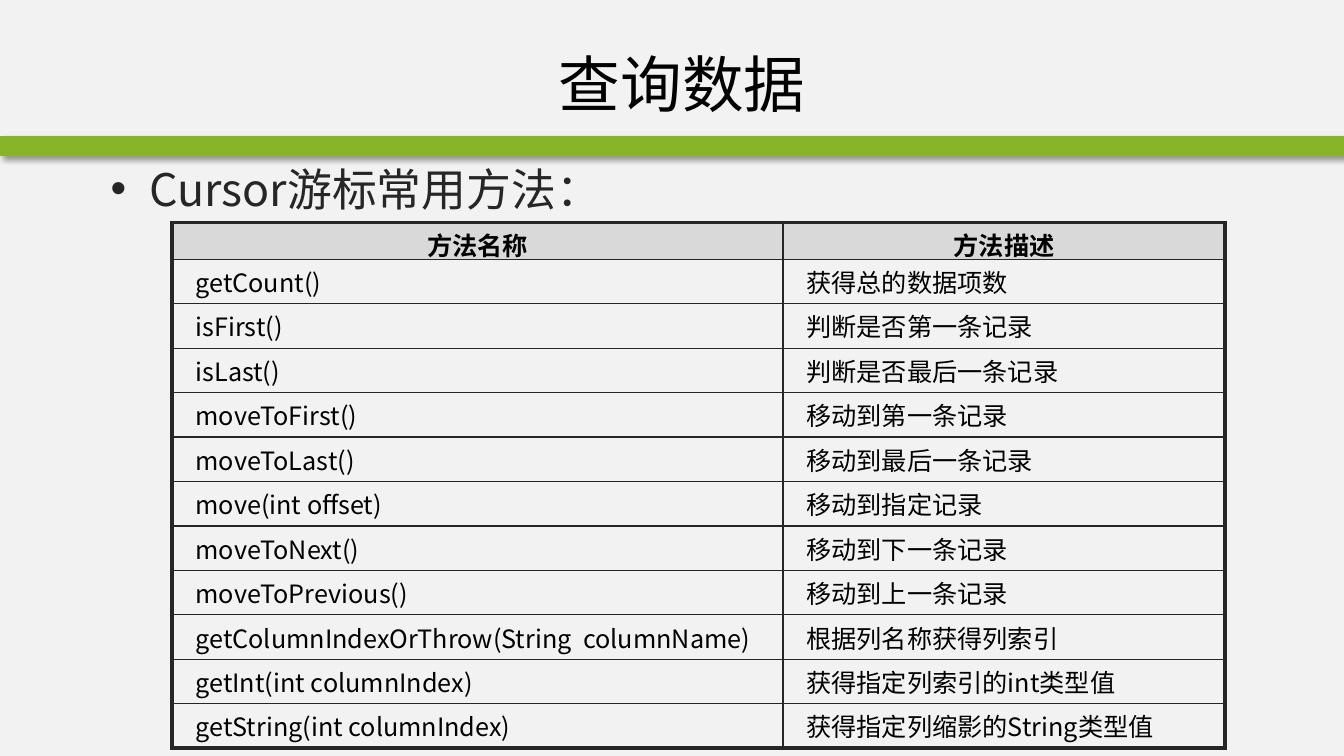
"""Build the slide listing the common methods of a database cursor."""
import dataclasses
import typing

import lxml.etree
import pptx
import pptx.dml.color
import pptx.enum.shapes
import pptx.enum.text
import pptx.oxml.ns
import pptx.util

Cm = pptx.util.Cm
Pt = pptx.util.Pt
Align = pptx.enum.text.PP_ALIGN
Anchor = pptx.enum.text.MSO_ANCHOR


@dataclasses.dataclass(frozen=True)
class Theme:
    font: str = "Noto Sans CJK SC"
    background: str = "F2F2F2"
    band: str = "88B429"
    header: str = "D9D9D9"
    dark: str = "262626"
    black: str = "000000"
    title_size: int = 44
    body_size: int = 32
    table_size: int = 18
    thin: int = 1
    thick: int = 3


class Box(typing.NamedTuple):
    left: float
    top: float
    width: float
    height: float

    def lengths(self) -> list[pptx.util.Length]:
        return [Cm(value) for value in self]


class Method(typing.NamedTuple):
    name: str
    description: str


THEME = Theme()
SLIDE_WIDTH, SLIDE_HEIGHT = 33.87, 19.05
BAND = Box(0, 3.43, SLIDE_WIDTH, 0.5)
TITLE = Box(3.53, 0.76, 27.33, 2.67)
BODY = Box(2.54, 3.94, 28.35, 1.68)
TABLE_LEFT, TABLE_TOP = 4.34, 5.61
COLUMN_WIDTHS = (15.39, 11.15)
HEADER_HEIGHT, ROW_HEIGHT = 0.81, 1.12
CELL_MARGIN, CELL_INDENT, BULLET_INDENT = 0.08, 0.51, 0.97

HEADER = Method("方法名称", "方法描述")
METHODS = (
    Method("getCount()", "获得总的数据项数"),
    Method("isFirst()", "判断是否第一条记录"),
    Method("isLast()", "判断是否最后一条记录"),
    Method("moveToFirst()", "移动到第一条记录"),
    Method("moveToLast()", "移动到最后一条记录"),
    Method("move(int offset)", "移动到指定记录"),
    Method("moveToNext()", "移动到下一条记录"),
    Method("moveToPrevious()", "移动到上一条记录"),
    Method("getColumnIndexOrThrow(String\u00a0\u00a0columnName)", "根据列名称获得列索引"),
    Method("getInt(int columnIndex)", "获得指定列索引的int类型值"),
    Method("getString(int columnIndex)", "获得指定列缩影的String类型值"),
)


def rgb(color: str) -> pptx.dml.color.RGBColor:
    return pptx.dml.color.RGBColor.from_string(color)


def add_child(parent, tag: str, **attributes):
    child = lxml.etree.SubElement(parent, pptx.oxml.ns.qn(tag))
    for name, value in attributes.items():
        child.set(name, str(value))
    return child


def add_run(paragraph, text: str, size: int, color: str, bold: bool = False) -> None:
    run = paragraph.add_run()
    run.text = text
    run.font.size = Pt(size)
    run.font.bold = bold
    run.font.name = THEME.font
    run.font.color.rgb = rgb(color)
    add_child(run.font._element, "a:ea", typeface=THEME.font)


def add_text_box(slide, box: Box, anchor: Anchor):
    frame = slide.shapes.add_textbox(*box.lengths()).text_frame
    frame.word_wrap = True
    frame.vertical_anchor = anchor
    return frame.paragraphs[0]


def set_indent(paragraph, left: float, first_line: float) -> None:
    properties = paragraph._p.get_or_add_pPr()
    properties.set("marL", str(Cm(left)))
    properties.set("indent", str(Cm(first_line)))


def add_band(slide) -> None:
    shape = slide.shapes.add_shape(pptx.enum.shapes.MSO_SHAPE.RECTANGLE, *BAND.lengths())
    shape.shadow.inherit = False
    shape.fill.solid()
    shape.fill.fore_color.rgb = rgb(THEME.band)
    shape.line.fill.background()
    effects = shape._element.spPr.find(pptx.oxml.ns.qn("a:effectLst"))
    shadow = add_child(effects, "a:outerShdw", blurRad=Pt(4), dist=Pt(3),
                       dir=45 * 60000, algn="tl", rotWithShape=0)
    color = add_child(shadow, "a:srgbClr", val=THEME.black)
    add_child(color, "a:alpha", val=40000)


def add_title(slide) -> None:
    paragraph = add_text_box(slide, TITLE, Anchor.MIDDLE)
    paragraph.alignment = Align.CENTER
    add_run(paragraph, "查询数据", THEME.title_size, THEME.black)


def add_body(slide) -> None:
    paragraph = add_text_box(slide, BODY, Anchor.TOP)
    set_indent(paragraph, BULLET_INDENT, -BULLET_INDENT)
    properties = paragraph._p.get_or_add_pPr()
    color = add_child(properties, "a:buClr")
    add_child(color, "a:srgbClr", val=THEME.dark)
    add_child(properties, "a:buFont", typeface="Arial")
    add_child(properties, "a:buChar", char="•")
    add_run(paragraph, "Cursor游标常用方法：", THEME.body_size, THEME.dark)


def set_borders(cell, outer_edges: dict[str, bool]) -> None:
    properties = cell._tc.get_or_add_tcPr()
    for position, (tag, is_outer) in enumerate(outer_edges.items()):
        width = THEME.thick if is_outer else THEME.thin
        line = lxml.etree.Element(pptx.oxml.ns.qn(tag), w=str(Pt(width)))
        fill = add_child(line, "a:solidFill")
        add_child(fill, "a:srgbClr", val=THEME.dark)
        properties.insert(position, line)


def fill_cell(cell, text: str, is_header: bool) -> None:
    cell.margin_left = cell.margin_right = Cm(CELL_MARGIN)
    cell.margin_top = cell.margin_bottom = Cm(CELL_MARGIN)
    cell.vertical_anchor = Anchor.MIDDLE
    cell.fill.solid()
    cell.fill.fore_color.rgb = rgb(THEME.header if is_header else THEME.background)
    paragraph = cell.text_frame.paragraphs[0]
    if is_header:
        paragraph.alignment = Align.CENTER
    else:
        set_indent(paragraph, CELL_INDENT, 0)
    add_run(paragraph, text, THEME.table_size, THEME.black, is_header)


def add_method_table(slide) -> None:
    rows = (HEADER, *METHODS)
    heights = [HEADER_HEIGHT] + [ROW_HEIGHT] * len(METHODS)
    box = Box(TABLE_LEFT, TABLE_TOP, sum(COLUMN_WIDTHS), sum(heights))
    table = slide.shapes.add_table(len(rows), len(COLUMN_WIDTHS), *box.lengths()).table
    table.first_row = table.horz_banding = False
    for column, width in zip(table.columns, COLUMN_WIDTHS):
        column.width = Cm(width)
    last_row, last_column = len(rows) - 1, len(COLUMN_WIDTHS) - 1
    for row_index, method in enumerate(rows):
        table.rows[row_index].height = Cm(heights[row_index])
        for column_index, text in enumerate(method):
            cell = table.cell(row_index, column_index)
            fill_cell(cell, text, row_index == 0)
            set_borders(cell, {
                "a:lnL": column_index == 0,
                "a:lnR": column_index == last_column,
                "a:lnT": row_index == 0,
                "a:lnB": row_index == last_row,
            })


def main() -> None:
    presentation = pptx.Presentation()
    presentation.slide_width, presentation.slide_height = Cm(SLIDE_WIDTH), Cm(SLIDE_HEIGHT)
    slide = presentation.slides.add_slide(presentation.slide_layouts[6])
    slide.background.fill.solid()
    slide.background.fill.fore_color.rgb = rgb(THEME.background)
    add_band(slide)
    add_body(slide)
    add_title(slide)
    add_method_table(slide)
    presentation.save("out.pptx")


main()
